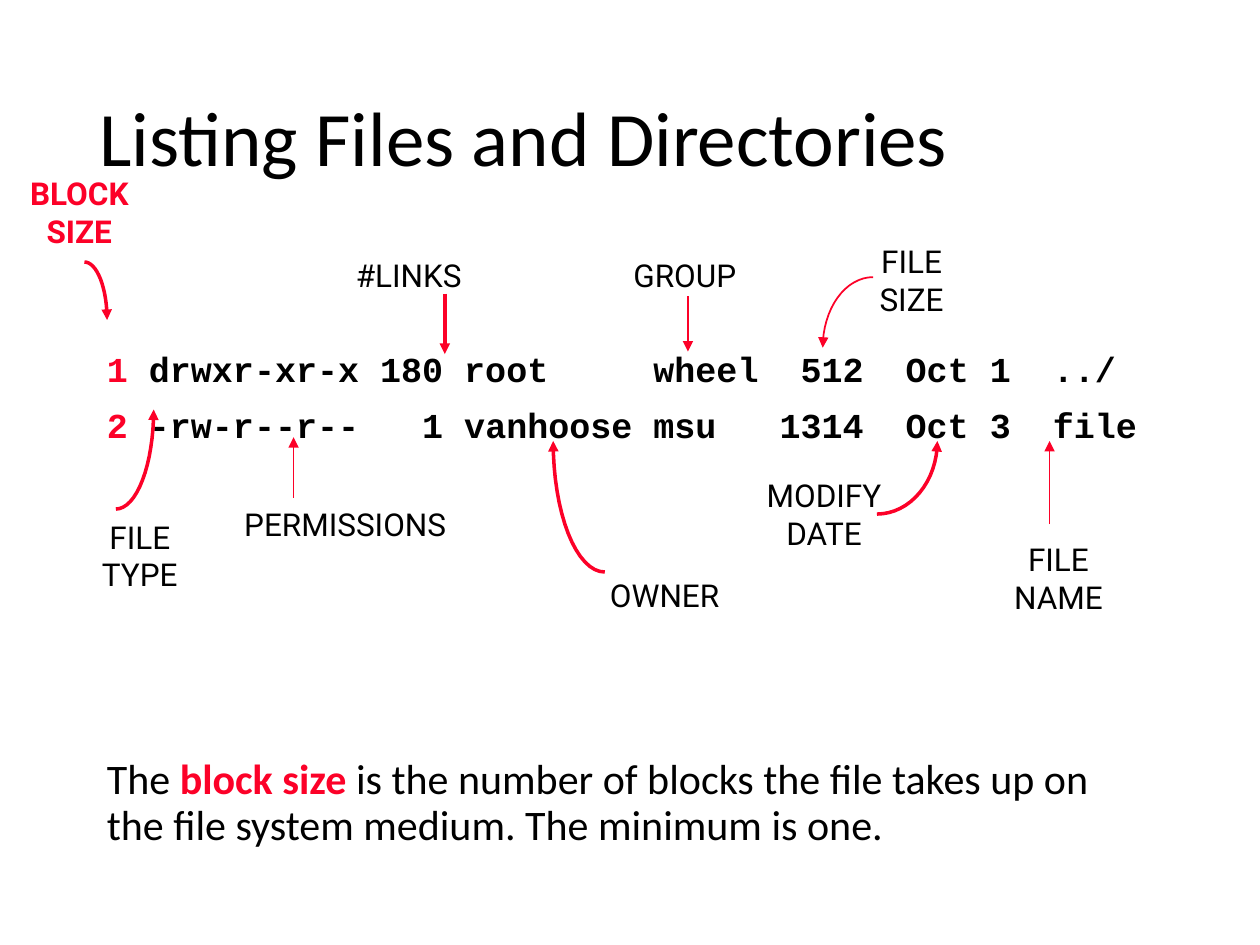
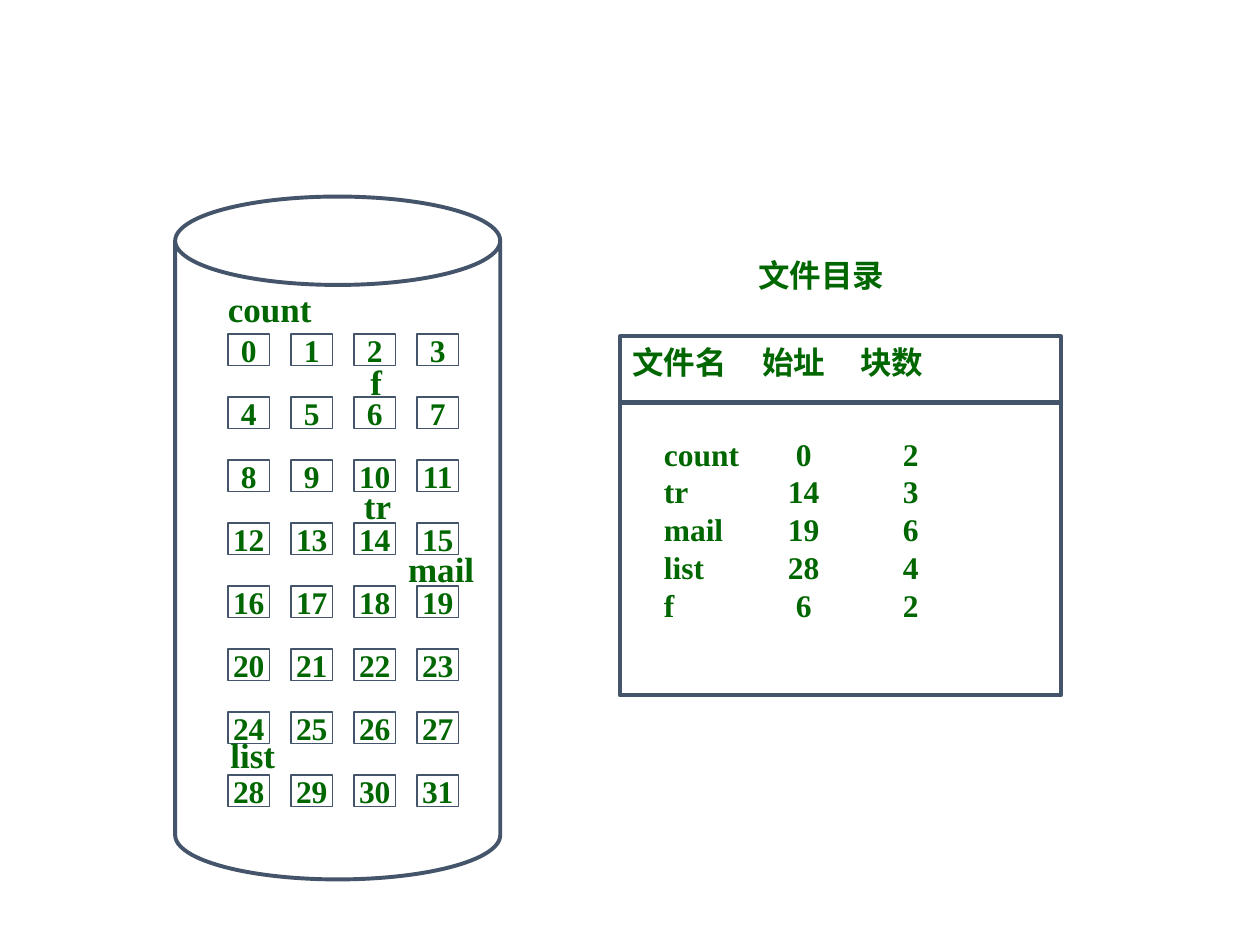
from dataclasses import dataclass
from math import cos, pi, sin

from lxml.etree import SubElement
from pptx import Presentation
from pptx.dml.color import RGBColor
from pptx.enum.shapes import MSO_CONNECTOR as Link, MSO_SHAPE as Preset
from pptx.enum.text import MSO_ANCHOR as Anchor, PP_ALIGN as Align
from pptx.oxml.ns import qn
from pptx.util import Inches, Pt


@dataclass(frozen=True)
class Theme:
    ink: str = "000000"
    accent: str = "FC0128"
    green: str = "006600"
    slate: str = "44546A"
    heading: str = "Calibri"
    code: str = "Courier New"
    label: str = "Roboto"
    serif: str = "Times New Roman"
    title_size: int = 44
    note_size: int = 24
    code_size: int = 20
    label_size: int = 18
    thin: float = 0.75
    thick: float = 2.25


theme = Theme()
deck = Presentation()
deck.slide_width, deck.slide_height = Inches(10), Inches(7.5)
COLUMN = deck.slide_width / 100
ROW = deck.slide_height / 75


def place(*cells):
    """Turn alternating column and row counts into slide lengths."""
    return [round(cell * (ROW if index % 2 else COLUMN)) for index, cell in enumerate(cells)]


def write(box, lines, name, size, color, bold=False, align=Align.LEFT,
          anchor=Anchor.TOP, wrap=True, spacing=None, gap=0, tabs=()):
    """Fill a box; a line is a string or a list of (text, color, bold); tabs are (column, kind)."""
    frame = box.text_frame
    frame.word_wrap, frame.vertical_anchor = wrap, anchor
    for index, line in enumerate(lines):
        para = frame.add_paragraph() if index else frame.paragraphs[0]
        para.alignment = align
        if spacing:
            para.line_spacing = spacing
        if gap and index:
            para.space_before = Pt(gap)
        if tabs:
            stops = SubElement(para._p.get_or_add_pPr(), qn("a:tabLst"))
            for column, kind in tabs:
                SubElement(stops, qn("a:tab"), pos=str(round(column * COLUMN)), algn=kind)
        parts = [(line, color, bold)] if isinstance(line, str) else line
        for text, part_color, part_bold in parts:
            span = para.add_run()
            span.text = text
            look = {"name": name, "size": Pt(size), "bold": part_bold}
            for key, value in look.items():
                setattr(span.font, key, value)
            span.font.color.rgb = RGBColor.from_string(part_color)


# Slide 1: the long listing and its labelled columns
page = deck.slides.add_slide(deck.slide_layouts[6])

title = page.shapes.add_textbox(*place(6.9, 4, 86.2, 14.5))
write(title, ["Listing Files and Directories"], theme.heading, theme.title_size, theme.ink,
      anchor=Anchor.MIDDLE, spacing=0.9)
title_format = title.text_frame.paragraphs[0].runs[0]._r.get_or_add_rPr()
effects = SubElement(title_format, qn("a:effectLst"))
title_format.find(qn("a:latin")).addprevious(effects)
shadow = SubElement(effects, qn("a:outerShdw"), blurRad="38100", dist="38100", dir="2700000")
SubElement(shadow, qn("a:srgbClr"), val=theme.ink)

listing = page.shapes.add_textbox(*place(7.5, 27.5, 85, 9.3))
write(listing, [
    [("1 ", theme.accent, True),
     ("drwxr-xr-x 180 root     wheel  512  Oct 1  ../", theme.ink, True)],
    [("2", theme.accent, True),
     (" -rw-r--r--   1 vanhoose msu   1314  Oct 3  file", theme.ink, True)],
], theme.code, theme.code_size, theme.ink, spacing=0.9, gap=10)

block_size = page.shapes.add_textbox(*place(0.8, 13.3, 11, 7))
write(block_size, ["BLOCK", "SIZE"], theme.label, theme.label_size, theme.accent, True,
      Align.CENTER, wrap=False)

column_labels = [
    (["PERMISSIONS"], 18.3, 39.6, 18.2, 4),
    (["FILE", "TYPE"], 7, 40.6, 8.2, 7),
    (["#LINKS"], 22.3, 19.8, 20.3, 4),
    (["OWNER"], 47.2, 45.2, 11.1, 4),
    (["GROUP"], 49.1, 19.8, 10.5, 4),
    (["FILE SIZE"], 67.3, 18.7, 10.1, 7),
    (["MODIFY DATE"], 59, 37.3, 12.8, 7),
    (["FILE NAME"], 78.4, 42.4, 11.2, 7),
]
for words, *area in column_labels:
    label = page.shapes.add_textbox(*place(*area))
    write(label, words, theme.label, theme.label_size, theme.ink, align=Align.CENTER,
          wrap=" " in words[0])

arrows = []
straight_arrows = [  # column, start row, end row, weight
    (23.3, 39.5, 34.7, 1),
    (35.3, 23.3, 28.1, 2),
    (54.6, 23.5, 27.9, 1),
    (83.3, 41.6, 35, 1),
]
for column, start, end, weight in straight_arrows:
    arrow = page.shapes.add_connector(Link.STRAIGHT, *place(column, start, column, end))
    SubElement(arrow._element.spPr, qn("a:effectLst"))
    arrows.append((arrow, weight))

curved_arrows = [  # tail column and row, tip column and row, weight
    (6.7, 20.8, 8.5, 25.4, 2),
    (9.2, 40.4, 12.2, 32.5, 2),
    (48, 45.4, 43.9, 35, 2),
    (69.6, 40.8, 74.4, 35, 2),
    (69.3, 22, 65.3, 27.6, 1),
]
STEPS = 16
for tail_x, tail_y, tip_x, tip_y, weight in curved_arrows:
    turns = [step * pi / 2 / STEPS for step in range(STEPS + 1)]
    points = [place(tail_x + (tip_x - tail_x) * sin(turn), tip_y + (tail_y - tip_y) * cos(turn))
              for turn in turns]
    builder = page.shapes.build_freeform(*points[0])
    builder.add_line_segments(points[1:], close=False)
    arrow = builder.convert_to_shape()
    arrow.fill.background()
    arrow.shadow.inherit = False
    arrows.append((arrow, weight))

for arrow, weight in arrows:
    arrow.line.color.rgb = RGBColor.from_string(theme.accent)
    arrow.line.width = Pt(weight)
    SubElement(arrow.line._get_or_add_ln(), qn("a:tailEnd"), type="triangle")

note = page.shapes.add_textbox(*place(7.5, 59.7, 83, 8.3))
write(note, [[
    ("The ", theme.ink, False),
    ("block size", theme.accent, True),
    (" is the number of blocks the file takes up on the file system medium."
     " The minimum is one.", theme.ink, False),
]], theme.heading, theme.note_size, theme.ink, spacing=0.9)

# Slide 2: the disk blocks and the file directory
page = deck.slides.add_slide(deck.slide_layouts[6])
green_text = {"name": theme.serif, "size": theme.label_size, "color": theme.green, "bold": True}
outlined = []

block_group = page.shapes.add_group_shape()
for number in range(32):
    row, column = divmod(number, 4)
    block = block_group.shapes.add_shape(
        Preset.RECTANGLE, *place(18.1 + 5 * column, 26.5 + 5 * row, 3.3, 2.5))
    write(block, [str(number)], **green_text, align=Align.CENTER, anchor=Anchor.MIDDLE, wrap=False)
    outlined.append((block, theme.thin))

disk = page.shapes.add_shape(Preset.CAN, *place(13.9, 15.6, 25.8, 54.2))
disk.adjustments[0] = 0.272
header = page.shapes.add_shape(Preset.RECTANGLE, *place(49.2, 26.7, 35, 5.3))
write(header, ["文件名\t始址\t块数"], **green_text, tabs=[(10.3, "l"), (18.1, "l")])
directory = page.shapes.add_shape(Preset.RECTANGLE, *place(49.2, 31.9, 35, 23.3))
outlined += [(shape, theme.thick) for shape in (disk, header, directory)]

for shape, weight in outlined:
    shape.fill.background()
    shape.shadow.inherit = False
    shape.line.color.rgb = RGBColor.from_string(theme.slate)
    shape.line.width = Pt(weight)

files = [("count", 0, 2), ("tr", 14, 3), ("mail", 19, 6), ("list", 28, 4), ("f", 6, 2)]
entries = page.shapes.add_textbox(*place(51.7, 34, 29.8, 21))
write(entries, [f"{name}\t{start}\t{length}" for name, start, length in files], **green_text,
      tabs=[(11.1, "ctr"), (19.6, "ctr")])

caption = page.shapes.add_textbox(*place(59.2, 19.8, 15.5, 5))
write(caption, ["文件目录"], **green_text)

file_marks = [
    ("count", 17.1, 22.3, 9.4),
    ("f", 28.4, 28.1, 2.5),
    ("tr", 27.9, 38, 4.2),
    ("mail", 31.4, 43, 7.5),
    ("list", 17.3, 57.7, 7.5),
]
for name, left, top, width in file_marks:
    mark = page.shapes.add_textbox(*place(left, top, width, 4.3))
    write(mark, [name], **{**green_text, "size": theme.code_size})

deck.save("out.pptx")
